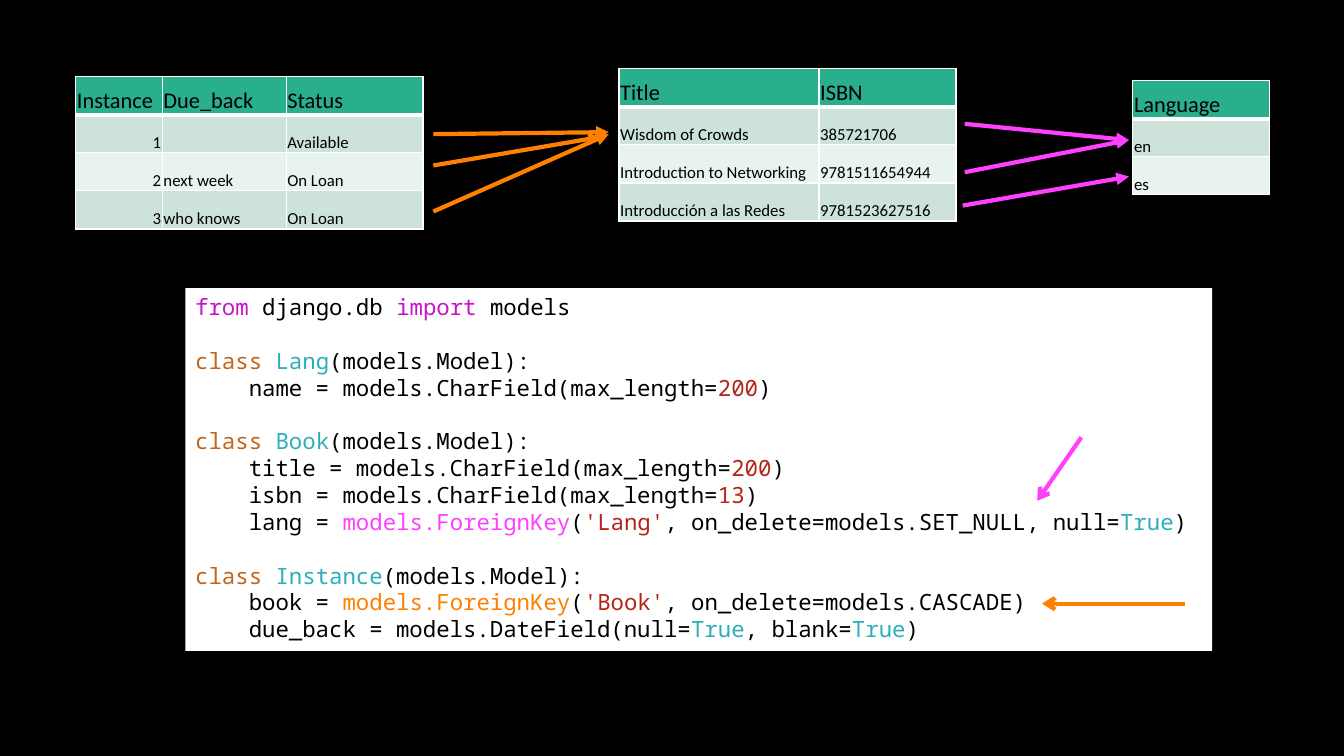
from lxml.etree import SubElement
from pptx import Presentation
from pptx.dml.color import RGBColor
from pptx.enum.shapes import MSO_CONNECTOR, MSO_SHAPE
from pptx.enum.text import MSO_ANCHOR, PP_ALIGN
from pptx.oxml.ns import qn
from pptx.util import Cm, Pt

COLORS = {
    "black": "000000", "white": "FFFFFF",
    "header": "29AF8C", "odd": "CDE3DA", "even": "E8F2EE",
    "book_key": "FF7F00", "lang_key": "FF40FF",
    "import": "C814C9", "class": "C1651C", "name": "2EAEBB", "literal": "B42419",
}
ROW_HEIGHT = 0.96
CODE_INDENT = 1.35


def rgb(name):
    return RGBColor.from_string(COLORS[name])


def add_border(cell, side, points):
    border = SubElement(cell._tc.get_or_add_tcPr(), qn(f"a:ln{side}"), w=str(Pt(points)))
    fill = SubElement(border, qn("a:solidFill"))
    SubElement(fill, qn("a:srgbClr"), val=COLORS["white"])


prs = Presentation()
prs.slide_width, prs.slide_height = Cm(33.87), Cm(19.05)
slide = prs.slides.add_slide(prs.slide_layouts[6])
slide.background.fill.solid()
slide.background.fill.fore_color.rgb = rgb("black")

# Database tables: left, top, column widths, rows
records = [
    (15.6, 1.73, [5.04, 3.45], [
        ["Title", "ISBN"],
        ["Wisdom of Crowds", "385721706"],
        ["Introduction to Networking", "9781511654944"],
        ["Introducción a las Redes", "9781523627516"],
    ]),
    (28.55, 2.03, [3.45], [["Language"], ["en"], ["es"]]),
    (1.91, 1.93, [2.18, 3.12, 3.45], [
        ["Instance", "Due_back", "Status"],
        ["1", "", "Available"],
        ["2", "next week", "On Loan"],
        ["3", "who knows", "On Loan"],
    ]),
]
for left, top, widths, rows in records:
    table = slide.shapes.add_table(
        len(rows), len(widths), Cm(left), Cm(top),
        Cm(sum(widths)), Cm(ROW_HEIGHT * len(rows))).table
    table.first_row = table.horz_banding = False
    for column, width in zip(table.columns, widths):
        column.width = Cm(width)
    for r, row in enumerate(rows):
        table.rows[r].height = Cm(ROW_HEIGHT)
        for c, value in enumerate(row):
            cell = table.cell(r, c)
            for side in "LRTB":
                thick = (r, side) in [(0, "B"), (1, "T")]
                add_border(cell, side, 3 if thick else 1)
            cell.fill.solid()
            cell.fill.fore_color.rgb = rgb("header" if r == 0 else "odd" if r % 2 else "even")
            cell.vertical_anchor = MSO_ANCHOR.BOTTOM
            cell.margin_left = cell.margin_right = cell.margin_top = Cm(0.03)
            cell.margin_bottom = 0
            cell.text = value
            paragraph = cell.text_frame.paragraphs[0]
            paragraph.alignment = PP_ALIGN.RIGHT if value in ("1", "2", "3") else PP_ALIGN.LEFT
            paragraph.font.name = "Calibri"
            paragraph.font.size = Pt(12 if r else 16)
            paragraph.font.color.rgb = rgb("black")

# Code panel
panel = slide.shapes.add_shape(MSO_SHAPE.RECTANGLE, Cm(4.67), Cm(7.26), Cm(25.88), Cm(9.14))
panel.shadow.inherit = False
panel.fill.solid()
panel.fill.fore_color.rgb = rgb("white")
panel.line.fill.background()
code = panel.text_frame
code.word_wrap = True
code.vertical_anchor = MSO_ANCHOR.TOP

# Each line of code is a list of (text, colour) runs
code_lines = [
    [("from", "import"), (" django.db ", "black"), ("import", "import"), (" models", "black")],
    [("class ", "class"), ("Lang", "name"), ("(models.Model):", "black")],
    [("name = models.CharField(max_length=", "black"), ("200", "literal"), (")", "black")],
    [("class ", "class"), ("Book", "name"), ("(models.Model):", "black")],
    [("title = models.CharField(max_length=", "black"), ("200", "literal"), (")", "black")],
    [("isbn = models.CharField(max_length=", "black"), ("13", "literal"), (")", "black")],
    [("lang = ", "black"), ("models.ForeignKey", "lang_key"), ("(", "black"),
     ("'Lang'", "literal"), (", on_delete=models.SET_NULL, null=", "black"),
     ("True", "name"), (")", "black")],
    [("class ", "class"), ("Instance", "name"), ("(models.Model):", "black")],
    [("book = ", "black"), ("models.ForeignKey", "book_key"), ("(", "black"),
     ("'Book'", "literal"), (", on_delete=models.CASCADE)", "black")],
    [("due_back = models.DateField(null=", "black"), ("True", "name"),
     (", blank=", "black"), ("True", "name"), (")", "black")],
]
for i, line in enumerate(code_lines):
    paragraph = code.paragraphs[0] if i == 0 else code.add_paragraph()
    paragraph.alignment = PP_ALIGN.LEFT
    paragraph.font.name = "Noto Sans Mono"
    paragraph.font.size = Pt(16)
    opening = line[0][1]
    if opening == "class":
        paragraph.space_before = Pt(19.2)
    elif opening == "black":
        paragraph._p.get_or_add_pPr().set("marL", str(Cm(CODE_INDENT)))
    for text, color in line:
        run = paragraph.add_run()
        run.text = text
        run.font.color.rgb = rgb(color)

# Arrows for the two foreign keys: start, end, colour, head
arrows = [
    (10.92, 3.38, 15.34, 3.33, "book_key", "triangle"),
    (10.92, 4.17, 15.14, 3.45, "book_key", "triangle"),
    (10.92, 5.33, 15.34, 3.38, "book_key", "triangle"),
    (24.31, 3.12, 28.45, 3.53, "lang_key", "triangle"),
    (24.31, 4.34, 28.45, 3.53, "lang_key", "triangle"),
    (24.26, 5.18, 28.45, 4.45, "lang_key", "triangle"),
    (27.25, 11.02, 26.14, 12.62, "lang_key", "arrow"),
    (29.87, 15.21, 26.26, 15.21, "book_key", "arrow"),
]
for x1, y1, x2, y2, color, head in arrows:
    arrow = slide.shapes.add_connector(MSO_CONNECTOR.STRAIGHT, Cm(x1), Cm(y1), Cm(x2), Cm(y2))
    arrow.line.color.rgb = rgb(color)
    arrow.line.width = Pt(3)
    SubElement(arrow.line._get_or_add_ln(), qn("a:tailEnd"), type=head)
    SubElement(arrow._element.spPr, qn("a:effectLst"))

prs.save("out.pptx")
